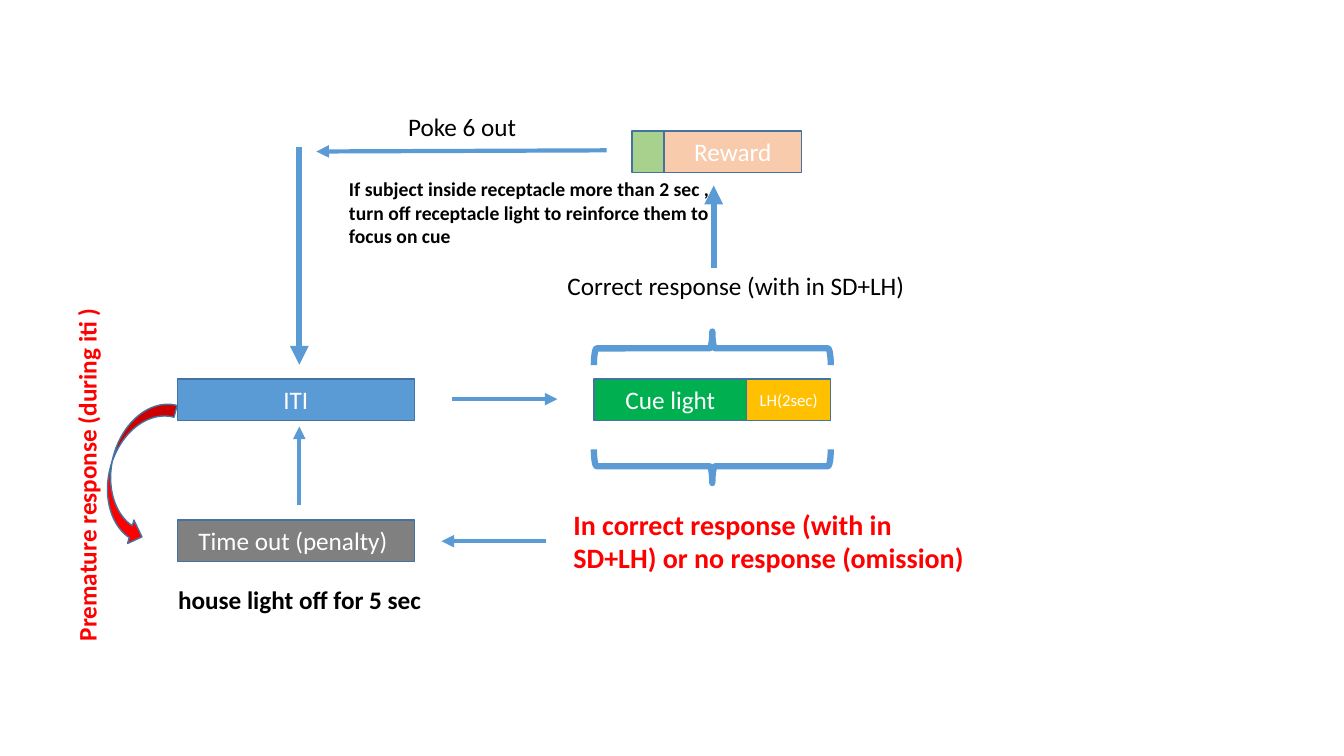
from lxml import etree
from pptx import Presentation
from pptx.dml.color import RGBColor
from pptx.enum.shapes import MSO_CONNECTOR, MSO_SHAPE
from pptx.enum.text import MSO_ANCHOR, PP_ALIGN
from pptx.oxml.ns import qn
from pptx.util import Pt

RECTANGLE = MSO_SHAPE.RECTANGLE
BRACE = MSO_SHAPE.LEFT_BRACE
CURVED_ARROW = MSO_SHAPE.CURVED_UP_ARROW
STRAIGHT = MSO_CONNECTOR.STRAIGHT
MIDDLE = MSO_ANCHOR.MIDDLE
CENTER = PP_ALIGN.CENTER

BLUE, OUTLINE = "5B9BD5", "43739E"
BLACK, WHITE, RED = "000000", "FFFFFF", "FF0000"
CUE_ROW, REWARD_ROW, PENALTY_ROW = 270.7, 93.6, 371.5
BOX_HEIGHT = 29.5


def color(hex_string):
    return RGBColor.from_string(hex_string)


def write(shape, text, size, hex_string, bold=False):
    shape.text_frame.word_wrap = True
    shape.text_frame.text = text
    font = shape.text_frame.paragraphs[0].runs[0].font
    font.name = "Calibri"
    font.size = Pt(size)
    font.bold = bold
    font.color.rgb = color(hex_string)


presentation = Presentation()
presentation.slide_width = Pt(960)
presentation.slide_height = Pt(540)
slide = presentation.slides.add_slide(presentation.slide_layouts[6])

boxes = [
    ("Cue light", 424.3, CUE_ROW, 109, "00B050", 18),
    ("LH(2sec)", 533.3, CUE_ROW, 60, "FFC000", 12),
    ("ITI", 126.7, CUE_ROW, 169.2, BLUE, 18),
    ("", 451.4, REWARD_ROW, 23, "A9D18E", 18),
    ("Reward", 474.4, REWARD_ROW, 98, "F8CBAD", 18),
    ("Time out (penalty) ", 126.7, PENALTY_ROW, 169.2, "808080", 18),
]
for text, left, top, width, fill, size in boxes:
    shape = slide.shapes.add_shape(RECTANGLE, Pt(left), Pt(top), Pt(width), Pt(BOX_HEIGHT))
    shape.shadow.inherit = False
    shape.fill.solid()
    shape.fill.fore_color.rgb = color(fill)
    shape.line.color.rgb = color(OUTLINE)
    shape.line.width = Pt(1)
    if text:
        write(shape, text, size, WHITE)
        shape.text_frame.vertical_anchor = MIDDLE
        shape.text_frame.paragraphs[0].alignment = CENTER

for top, rotation in [(164.2, 90), (248.4, 270)]:
    brace = slide.shapes.add_shape(BRACE, Pt(496.8), Pt(top), Pt(24), Pt(169.2))
    brace.rotation = rotation
    brace.shadow.inherit = False
    brace.fill.background()
    brace.line.color.rgb = color(BLUE)
    brace.line.width = Pt(4.5)

arrows = [
    (509.8, 191.5, 509.8, 132.5, 4.5),
    (390.2, 386.6, 315.4, 386.6, 3),
    (213.8, 360.7, 213.8, 304.6, 3),
    (322.6, 285.1, 398.2, 285.1, 3),
    (433.4, 107.4, 226, 108.2, 3),
    (213.8, 105.1, 213.8, 260.6, 4.5),
]
for start_x, start_y, end_x, end_y, width in arrows:
    arrow = slide.shapes.add_connector(STRAIGHT, Pt(start_x), Pt(start_y), Pt(end_x), Pt(end_y))
    arrow.line.color.rgb = color(BLUE)
    arrow.line.width = Pt(width)
    etree.SubElement(arrow.line._get_or_add_ln(), qn("a:tailEnd"), type="triangle")
    etree.SubElement(arrow._element.spPr, qn("a:effectLst"))

labels = [
    ("Correct response (with in SD+LH)", 398.2, 189.4, 270.7, 29, 18, BLACK, False, 0),
    ("In correct response (with in SD+LH) or no response (omission)",
     402.5, 358.6, 301, 55.7, 20, RED, True, 0),
    ("house light off for 5 sec", 120.2, 414, 270.7, 29, 18, BLACK, True, 0),
    ("Premature response (during iti )", -81.4, 307.4, 286.6, 29, 18, RED, True, 270),
    ("Poke 6 out", 284.4, 76.3, 124.6, 29, 18, BLACK, False, 0),
    ("If subject inside receptacle more than 2 sec , turn off receptacle light "
     "to reinforce them to focus on cue", 242.2, 123.1, 282.2, 58.2, 14, BLACK, True, 0),
]
for text, left, top, width, height, size, hex_string, bold, rotation in labels:
    label = slide.shapes.add_textbox(Pt(left), Pt(top), Pt(width), Pt(height))
    label.rotation = rotation
    write(label, text, size, hex_string, bold)

premature_arrow = slide.shapes.add_shape(CURVED_ARROW, Pt(43.2), Pt(319), Pt(105.8), Pt(34.6))
premature_arrow.rotation = 105
premature_arrow.shadow.inherit = False
premature_arrow.fill.solid()
premature_arrow.fill.fore_color.rgb = color(RED)
premature_arrow.line.color.rgb = color(OUTLINE)
premature_arrow.line.width = Pt(1)

presentation.save("out.pptx")
